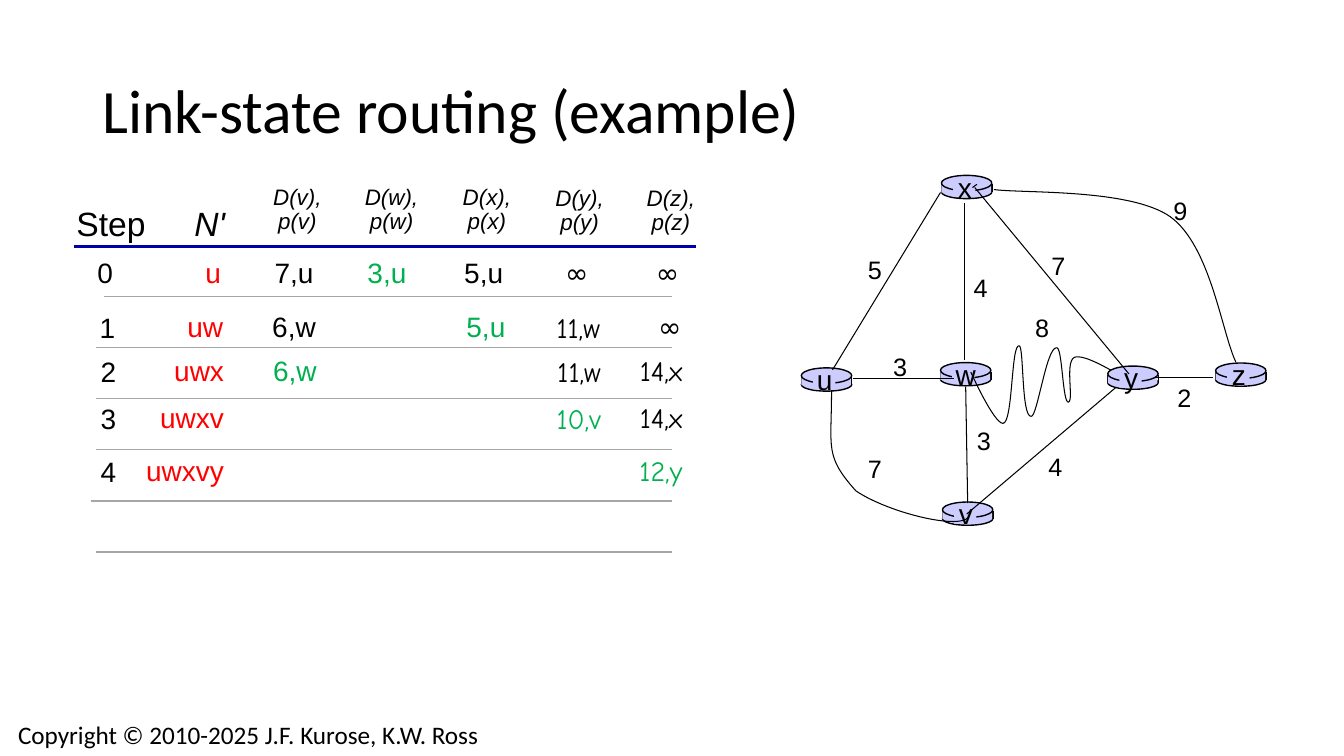
import pptx
import pptx.dml.color
import pptx.enum.shapes
import pptx.enum.text
import pptx.oxml.ns
import pptx.util
from lxml import etree

Pt = pptx.util.Pt
RGBColor = pptx.dml.color.RGBColor
Shape = pptx.enum.shapes.MSO_SHAPE
Align = pptx.enum.text.PP_ALIGN
Anchor = pptx.enum.text.MSO_ANCHOR
qualified = pptx.oxml.ns.qn

BLACK = RGBColor(0x00, 0x00, 0x00)
RED = RGBColor(0xFF, 0x00, 0x00)
GREEN = RGBColor(0x00, 0xB0, 0x50)
TEAL = RGBColor(0x00, 0xCC, 0x99)
GREY = RGBColor(0xA6, 0xA6, 0xA6)
NAVY = RGBColor(0x00, 0x00, 0xA8)
LAVENDER = RGBColor(0xCC, 0xCC, 0xFF)

# Character widths at 20 points, where they differ from a digit's
CHARACTER_WIDTHS = {",": 5.6, " ": 5.6, "w": 14.4, "v": 10, "x": 10, "y": 10, "∞": 18}


class RoutingSlide:
    """Holds the text style and the slide being drawn."""

    style = {"name": "Arial", "size": 20, "italic": False, "color": BLACK}

    def __init__(self, slide):
        self.shapes = slide.shapes

    def text(self, left, top, width, height, lines, align=Align.CENTER,
             spacing=1.0, anchor=Anchor.TOP, **changes):
        box = self.shapes.add_textbox(Pt(left), Pt(top), Pt(width), Pt(height))
        frame = box.text_frame
        frame.word_wrap = True
        frame.vertical_anchor = anchor
        frame.text = lines
        style = {**self.style, **changes}
        for paragraph in frame.paragraphs:
            paragraph.alignment = align
            paragraph.line_spacing = spacing
            font = paragraph.font
            for attribute in ("name", "italic"):
                setattr(font, attribute, style[attribute])
            font.size = Pt(style["size"])
            font.color.rgb = style["color"]

    def line(self, x1, y1, x2, y2, color=BLACK, width=0.75):
        connector = self.shapes.add_connector(
            pptx.enum.shapes.MSO_CONNECTOR.STRAIGHT, Pt(x1), Pt(y1), Pt(x2), Pt(y2))
        connector.line.color.rgb = color
        connector.line.width = Pt(width)
        etree.SubElement(connector._element.spPr, qualified("a:effectLst"))

    def block(self, kind, left, top, width, height, outlined):
        shape = self.shapes.add_shape(kind, Pt(left), Pt(top), Pt(width), Pt(height))
        shape.shadow.inherit = False
        shape.fill.solid()
        shape.fill.fore_color.rgb = LAVENDER
        if outlined:
            shape.line.color.rgb = BLACK
            shape.line.width = Pt(1)
        else:
            shape.line.fill.background()

    def curve(self, start, segments, fill=None):
        """Draws cubic segments, each given as two controls and an end."""
        points = [(100 * x, 100 * y) for segment in segments
                  for x, y in zip(segment[::2], segment[1::2])]
        builder = self.shapes.build_freeform(100 * start[0], 100 * start[1], scale=Pt(1) / 100)
        builder.add_line_segments(points, close=fill is not None)
        shape = builder.convert_to_shape()
        # Turn every three line ends into one cubic segment
        ends = list(shape._element.iter(qualified("a:lnTo")))
        for first, second, third in zip(ends[::3], ends[1::3], ends[2::3]):
            first.tag = qualified("a:cubicBezTo")
            for end in (second, third):
                first.append(end[0])
                end.getparent().remove(end)
        shape.shadow.inherit = False
        shape.line.color.rgb = BLACK
        shape.line.width = Pt(0.75)
        if fill is None:
            shape.fill.background()
        else:
            shape.fill.solid()
            shape.fill.fore_color.rgb = fill

    def router(self, name, left, top):
        self.block(Shape.OVAL, left, top + 7.2, 36, 9.4, True)
        for side in (left, left + 36):
            self.line(side, top + 6.5, side, top + 12.2, width=1)
        self.block(Shape.RECTANGLE, left, top + 6.5, 35.5, 5.8, False)
        self.block(Shape.OVAL, left, top, 36, 11, True)
        self.block(Shape.RECTANGLE, left + 8.3, top + 3.2, 16, 12.2, False)
        self.text(left + 3.7, top - 7.2, 26, 31, name)

    def cost(self, value, left, top):
        self.text(left, top, 24.5, 29, value, size=18)

    def right_text(self, right, top, content, size=20, **changes):
        advance = sum(CHARACTER_WIDTHS.get(character, 11.1) for character in content)
        width = 18 + advance * size / 20
        self.text(right - width, top, width, 1.6 * size, content,
                  align=Align.RIGHT, size=size, **changes)


# Routers: left and top of the upper disc
ROUTERS_BELOW_LINKS = {"w": (671.8, 259), "v": (673.2, 358.6),
                       "x": (672.5, 125.3), "u": (572.4, 262.8)}
ROUTERS_ABOVE_LINKS = {"y": (791.3, 261.5), "z": (868.3, 259.3)}

# Straight links: end points, cost, cost position
LINKS_BELOW = [
    ((609.1, 270.7, 681.1, 270.7), "3", (630.7, 247.7)),
    ((689, 144.7, 689, 257), "4", (688.3, 190.8)),
    ((671.8, 137.5, 594.7, 264.2), "5", (612.7, 177.8)),
    ((689.8, 276.5, 691.2, 359.3), "3", (690.5, 300.2)),
    ((804.2, 270.7, 690.5, 367.2), "4", (741.6, 319)),
]
LINKS_ABOVE = [
    ((825.8, 269.5, 866.2, 269.5), "2", (833.8, 269.3)),
    ((696.2, 133.9, 806.4, 267.1), "7", (743.8, 175)),
]

# Curved links: start, segments, cost, cost position
CURVED_LINKS = [
    ((594, 278.6), [(594, 321.1, 589, 325.4, 611.3, 350.6),
                    (633.6, 365.8, 684.7, 378.7, 691.9, 369.4)], "7", (612.7, 320.4)),
    ((693.4, 265.7), [(693.4, 265.7, 709.9, 302.4, 716.4, 302.4),
                      (723.6, 302.4, 722.2, 246.2, 727.9, 247),
                      (731.5, 245.5, 729.4, 298.1, 736.6, 297.4),
                      (740.9, 298.1, 747.4, 248.4, 754.6, 248.4),
                      (758.9, 246.2, 758.9, 288, 763.2, 287.3),
                      (767.5, 285.8, 759.6, 254.9, 769, 254.9),
                      (778.3, 254.2, 798.5, 267.8, 806.4, 271.4)], "8", (732.2, 219.6)),
    ((709.9, 135.4), [(730.8, 138.2, 807.1, 134.6, 835.9, 154.8),
                      (864.7, 175.7, 872.6, 236.9, 882.7, 258.5)], "9", (830.9, 136.1)),
]

# Steps: top, shift to the right, cells, column chosen in this step
STEPS = [
    (178.6, 0, ["0", "u", "7,u", "3,u", "5,u", "∞ ", "∞ "], 3),
    (217.4, 1.6, ["1", "uw", "6,w", "", "5,u", "11,w", "∞ "], 4),
    (249.1, 2.2, ["2", "uwx", "6,w", "", "", "11,w", "14,x "], 2),
    (282.2, 2.2, ["3", "uwxv", "", "", "", "10,v", "14,x "], 5),
    (320.4, 2.2, ["4", "uwxvy", "", "", "", "", "12,y "], 6),
]
COLUMN_RIGHTS = [87.8, 164.9, 231.1, 297.4, 366.5, 434.2, 499]
LOWER_COLUMNS = (0, 3, 5)
HEADERS = {"v": (212.4, 129.6), "w": (279.7, 129.6), "x": (347.8, 129.6),
           "y": (414, 130.3), "z": (479.2, 130.3)}
RULE_LEFTS = [74.2, 68.4, 68.4, 68.4, 64.8, 68.4]


def draw_network(page):
    for name, place in ROUTERS_BELOW_LINKS.items():
        page.router(name, *place)
    for ends, value, place in LINKS_BELOW:
        page.line(*ends)
        page.cost(value, *place)
    for start, segments, value, place in CURVED_LINKS:
        page.curve(start, segments)
        page.cost(value, *place)
    for name, place in ROUTERS_ABOVE_LINKS.items():
        page.router(name, *place)
    for ends, value, place in LINKS_ABOVE:
        page.line(*ends)
        page.cost(value, *place)
    # Small tick at the start of the x-y link
    page.curve((694.8, 133.9), [(695.5, 133.2, 697.7, 131.8, 697.7, 131.8),
                                (697.7, 131.8, 695.5, 133.2, 694.8, 133.9)], TEAL)


def draw_steps(page):
    # Header
    page.right_text(111, 141.1, "Step", size=24)
    page.right_text(167.8, 141.1, "N'", size=24, italic=True)
    for node, (centre, top) in HEADERS.items():
        page.text(centre - 27, top, 54, 42.5, f"D({node}),\np({node})",
                  spacing=0.9, size=16, italic=True)
    # Rules
    page.line(52.6, 176, 496.8, 176, NAVY, 2)
    for index, left in enumerate(RULE_LEFTS):
        height = 211.6 + 36.55 * index
        page.line(left, height, 480, height, GREY, 1)
    # Cells
    for top, shift, cells, chosen in STEPS:
        for column, content in enumerate(cells):
            if content:
                color = RED if column == 1 else GREEN if column == chosen else BLACK
                drop = 0.7 if column in LOWER_COLUMNS else 0
                page.right_text(COLUMN_RIGHTS[column] + shift, top + drop, content, color=color,
                                name="Comic Neue" if column > 4 else "Arial")


def main():
    presentation = pptx.Presentation()
    presentation.slide_width, presentation.slide_height = Pt(960), Pt(540)
    page = RoutingSlide(presentation.slides.add_slide(presentation.slide_layouts[6]))
    page.text(66.2, 28.8, 828, 104.4, "Link-state routing (example)", Align.LEFT,
              0.9, Anchor.MIDDLE, name="Calibri", size=44)
    draw_network(page)
    draw_steps(page)
    page.text(5.8, 510, 573, 29, "Copyright © 2010-2025 J.F. Kurose, K.W. Ross",
              Align.LEFT, name="Calibri", size=18)
    presentation.save("out.pptx")


if __name__ == "__main__":
    main()
